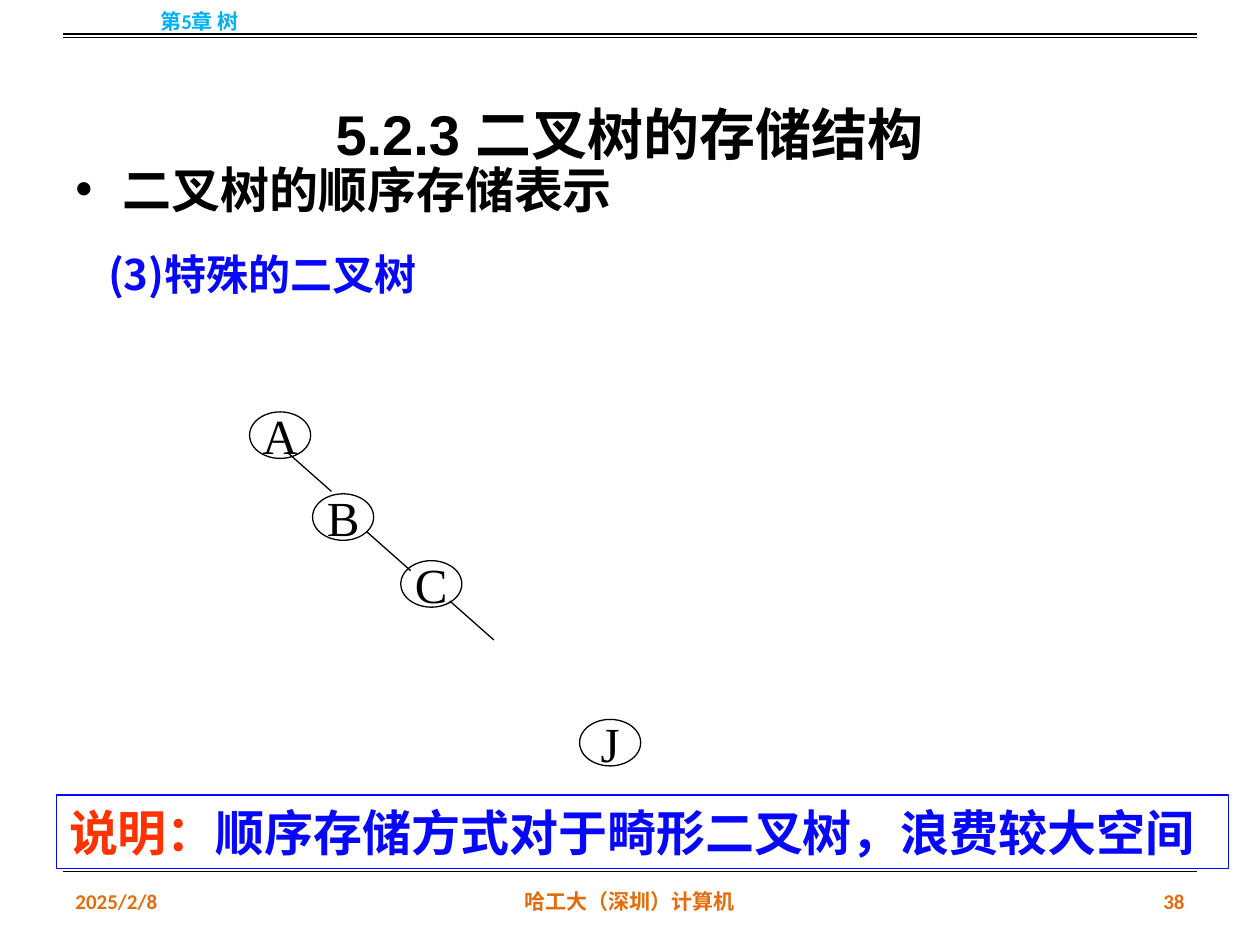
from typing import NamedTuple

from lxml import etree
from pptx import Presentation
from pptx.dml.color import RGBColor
from pptx.enum.shapes import MSO_CONNECTOR, MSO_SHAPE
from pptx.enum.text import MSO_ANCHOR, PP_ALIGN
from pptx.oxml.ns import qn
from pptx.util import Pt

LEFT, MID, RIGHT = PP_ALIGN.LEFT, PP_ALIGN.CENTER, PP_ALIGN.RIGHT
TOP, CENTER = MSO_ANCHOR.TOP, MSO_ANCHOR.MIDDLE
RECT, OVAL = MSO_SHAPE.RECTANGLE, MSO_SHAPE.OVAL
STRAIGHT = MSO_CONNECTOR.STRAIGHT

BLACK = RGBColor(0x00, 0x00, 0x00)
BLUE = RGBColor(0x07, 0x07, 0xF9)
RED = RGBColor(0xFF, 0x33, 0x00)
ORANGE = RGBColor(0xE4, 0x6C, 0x0A)
SKY = RGBColor(0x00, 0xB0, 0xF0)

HEAD = {"size": Pt(32), "name": "Arial", "bold": True}
BODY = {"size": Pt(28), "name": "Calibri", "bold": True}
SMALL = {"size": Pt(12), "name": "Calibri", "bold": True}
TOPIC = {"size": Pt(24), "name": "Noto Sans CJK SC", "bold": True}
NOTE = {"size": Pt(28), "name": "Times New Roman", "bold": True}
NODE = {"size": Pt(28), "name": "Times New Roman", "bold": False}


class Box(NamedTuple):
    x: float
    y: float
    w: float
    h: float


class Run(NamedTuple):
    text: str
    color: RGBColor


class Label(NamedTuple):
    box: Box
    run: Run
    style: dict
    align: PP_ALIGN = LEFT
    anchor: MSO_ANCHOR = CENTER
    wrap: bool = True


class Node(NamedTuple):
    name: str
    x: float
    y: float


class Line(NamedTuple):
    x1: float
    y1: float
    x2: float
    y2: float


LABELS = [
    Label(Box(0, -2.2, 228, 28.8), Run("第5章 树", SKY), SMALL, MID),
    Label(Box(54.7, 138.2, 197.3, 36.7), Run("(3)特殊的二叉树", BLUE), TOPIC,
          wrap=False),
    Label(Box(36, 500.4, 168, 28.8), Run("2025/2/8", ORANGE), SMALL),
    Label(Box(246, 500.4, 228, 28.8), Run("哈工大（深圳）计算机", ORANGE), SMALL, MID),
    Label(Box(516, 500.4, 168, 28.8), Run("38", ORANGE), SMALL, RIGHT),
]
TITLE = Label(Box(36, 21.6, 648, 90), Run("5.2.3 二叉树的存储结构", BLACK), HEAD, MID)
POINT = Label(Box(36, 90, 648, 401.8), Run("二叉树的顺序存储表示", BLACK), BODY,
              anchor=TOP)
REMARK = [Run("说明：", RED), Run("顺序存储方式对于畸形二叉树，浪费较大空间", BLUE)]
NODES = [Node("A", 142.6, 235.4), Node("B", 178.6, 282.2),
         Node("C", 229, 320.4), Node("J", 331.2, 411.1)]
RULES = [Line(36, y, 684, y) for y in (19.4, 21.6, 498.2)]
# Every branch of the tree has the same slope and length.
EDGES = [Line(x, y, x + 25.2, y + 22.3)
         for x, y in ((164.2, 258.5), (209.5, 303.8), (257, 343.4))]


def write(frame, runs: list[Run], style: dict, align: PP_ALIGN,
          anchor: MSO_ANCHOR, wrap: bool = True):
    """Fill the first paragraph of a frame and return it."""
    frame.word_wrap = wrap
    frame.vertical_anchor = anchor
    para = frame.paragraphs[0]
    para.alignment = align
    for text, color in runs:
        run = para.add_run()
        run.text = text
        for key, value in style.items():
            setattr(run.font, key, value)
        run.font.color.rgb = color
    return para


def add_label(slide, label: Label):
    shape = slide.shapes.add_textbox(*map(Pt, label.box))
    return write(shape.text_frame, [label.run], label.style, label.align,
                 label.anchor, label.wrap)


def add_bullet(para) -> None:
    props = para._p.get_or_add_pPr()
    props.set("marL", str(Pt(27)))
    props.set("indent", str(Pt(-27)))
    etree.SubElement(props, qn("a:buFont")).set("typeface", "Arial")
    etree.SubElement(props, qn("a:buChar")).set("char", "•")


def add_frame(slide, kind: MSO_SHAPE, box: Box, color: RGBColor):
    """Draw an unfilled outline and return its text frame."""
    shape = slide.shapes.add_shape(kind, *map(Pt, box))
    shape.shadow.inherit = False
    shape.fill.background()
    shape.line.color.rgb = color
    shape.line.width = Pt(0.75)
    return shape.text_frame


def add_node(slide, node: Node) -> None:
    frame = add_frame(slide, OVAL, Box(node.x, node.y, 34.9, 26.6), BLACK)
    for side in ("left", "top", "right", "bottom"):
        setattr(frame, f"margin_{side}", Pt(0))
    write(frame, [Run(node.name, BLACK)], NODE, MID, CENTER)


def add_line(slide, line: Line) -> None:
    link = slide.shapes.add_connector(STRAIGHT, *map(Pt, line))
    link.line.color.rgb = BLACK
    link.line.width = Pt(0.75)
    etree.SubElement(link._element.spPr, qn("a:effectLst"))


def main() -> None:
    deck = Presentation()
    deck.slide_width, deck.slide_height = Pt(720), Pt(540)
    slide = deck.slides.add_slide(deck.slide_layouts[6])

    add_label(slide, TITLE).line_spacing = 1.5
    point = add_label(slide, POINT)
    add_bullet(point)
    point.line_spacing = Pt(31)
    for label in LABELS:
        add_label(slide, label)

    frame = add_frame(slide, RECT, Box(32.4, 454.3, 669.6, 41.8), BLUE)
    write(frame, REMARK, NOTE, LEFT, CENTER)
    for node in NODES:
        add_node(slide, node)
    for line in RULES + EDGES:
        add_line(slide, line)
    deck.save("out.pptx")


if __name__ == "__main__":
    main()
